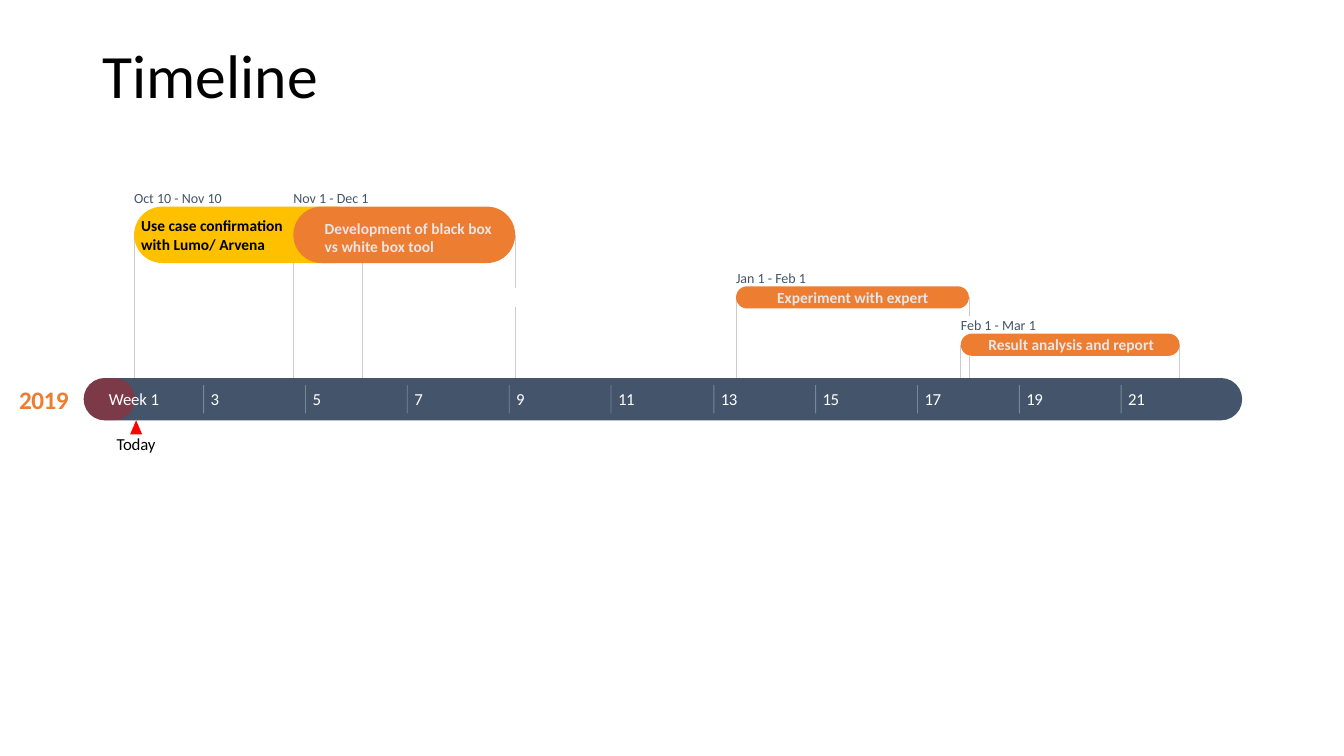
from lxml.etree import SubElement
from pptx import Presentation
from pptx.dml.color import RGBColor
from pptx.enum.shapes import MSO_CONNECTOR, MSO_SHAPE
from pptx.enum.text import MSO_ANCHOR, PP_ALIGN
from pptx.oxml.ns import qn
from pptx.util import Pt

PX = 9144
COLORS = {
    "navy": "44546A",
    "orange": "ED7D31",
    "yellow": "FFC000",
    "red": "FF0000",
    "guide": "CCCCCC",
    "pale": "E7E6E6",
    "white": "FFFFFF",
    "black": "000000",
}
LEFT, CENTER, RIGHT = PP_ALIGN.LEFT, PP_ALIGN.CENTER, PP_ALIGN.RIGHT
BAND_TOP = 375
TASKS = [
    (133, 205, 228, 56, "yellow", "Oct 10 - Nov 10", 88),
    (291, 205, 220, 56, "orange", "Nov 1 - Dec 1", 75),
    (730, 284, 231, 22, "orange", "Jan 1 - Feb 1", 71),
    (953, 331, 217, 22, "orange", "Feb 1 - Mar 1", 75),
]
TASK_NAMES = [
    ("Use case confirmation with Lumo/ Arvena", (140, 205, 165, 56), "black", LEFT),
    ("Development of black box vs white box tool", (322, 217, 180, 37), "pale", LEFT),
    ("Experiment with expert", (719, 285, 202, 19), "pale", RIGHT),
    ("Result analysis and report", (980, 332, 165, 19), "pale", CENTER),
]
GUIDES = [
    (359, 261, BAND_TOP),
    (291, 261, BAND_TOP),
    (511, 305, BAND_TOP),
    (961, 353, BAND_TOP),
]
BAR_GUIDES = [
    (0, 1, BAND_TOP),
    (1, 3, 286),
    (2, 1, BAND_TOP),
    (2, 3, 314),
    (3, 1, BAND_TOP),
    (3, 3, BAND_TOP),
]


def rgb(name):
    return RGBColor.from_string(COLORS[name])


def set_alpha(fill_owner, percent):
    color = fill_owner._element.spPr.find(f".//{qn('a:srgbClr')}")
    SubElement(color, qn("a:alpha")).set("val", str(percent * 1000))


def add_label(slide, text, box, size, color, align=LEFT, bold=False, spacing=0, wrap=False):
    label = slide.shapes.add_textbox(*(n * PX for n in box))
    frame = label.text_frame
    frame.text = text
    frame.word_wrap = wrap
    frame.vertical_anchor = MSO_ANCHOR.MIDDLE
    frame.margin_left = frame.margin_right = frame.margin_top = frame.margin_bottom = 0
    paragraph = frame.paragraphs[0]
    paragraph.alignment = align
    run = paragraph.runs[0]
    run.font.name = "Calibri"
    run.font.size = Pt(size)
    run.font.bold = bold
    run.font.color.rgb = rgb(color)
    if spacing:
        run._r.get_or_add_rPr().set("spc", str(spacing))
    return frame


def add_block(slide, preset, box, color):
    block = slide.shapes.add_shape(preset, *(n * PX for n in box))
    block.shadow.inherit = False
    block.fill.solid()
    block.fill.fore_color.rgb = rgb(color)
    block.line.fill.background()
    return block


def add_pill(slide, box, color):
    pill = add_block(slide, MSO_SHAPE.ROUNDED_RECTANGLE, box, color)
    pill.adjustments[0] = 0.5
    return pill


def add_vertical(slide, x, top, bottom, color):
    vertical = slide.shapes.add_connector(
        MSO_CONNECTOR.STRAIGHT, x * PX, top * PX, x * PX, bottom * PX)
    vertical.line.color.rgb = rgb(color)
    vertical.line.width = Pt(0.6)
    SubElement(vertical._element.spPr, qn("a:effectLst"))
    return vertical


def add_week_band(slide):
    add_pill(slide, (83, BAND_TOP, 1149, 42), "navy")
    elapsed = add_pill(slide, (83, BAND_TOP, 51, 42), "red")
    set_alpha(elapsed, 30)
    add_block(slide, MSO_SHAPE.ISOSCELES_TRIANGLE, (129, 417, 12, 14), "red")
    add_label(slide, "Today", (115, 430, 40, 20), 12, "black", CENTER, spacing=-10)
    add_label(slide, "Week 1", (108, 386, 51, 20), 12, "white", spacing=-10)
    for index, week in enumerate(range(3, 22, 2)):
        x = 202 + round(index * 101.1)
        width = 10 * len(str(week))
        add_label(slide, str(week), (x + 7, 386, width, 20), 12, "white", spacing=-30)
        tick = add_vertical(slide, x, 382, 410, "white")
        set_alpha(tick, 30)


def add_bar_guide(slide, task, side, bottom):
    left, top, width, height = TASKS[task][:4]
    x = left if side == 1 else left + width
    return add_vertical(slide, x, top + height // 2, bottom, "guide")


def add_title(slide):
    frame = add_label(slide, "Timeline", (92, 40, 1150, 145), 44, "black", wrap=True)
    frame.vertical_anchor = MSO_ANCHOR.TOP
    frame.margin_left = frame.margin_right = 10 * PX
    frame.margin_top = frame.margin_bottom = 5 * PX
    frame.paragraphs[0].line_spacing = 0.9


def main():
    presentation = Presentation()
    presentation.slide_width = 1333 * PX
    presentation.slide_height = 750 * PX
    slide = presentation.slides.add_slide(presentation.slide_layouts[6])

    add_label(slide, "2019", (19, 381, 49, 31), 18, "orange", CENTER, True, -40)
    for x, top, bottom in GUIDES:
        add_vertical(slide, x, top, bottom, "guide")
    bar_guides = [add_bar_guide(slide, *guide) for guide in BAR_GUIDES]
    add_week_band(slide)

    bars = [add_pill(slide, task[:4], task[4]) for task in TASKS]
    for guide, (task, side, _) in zip(bar_guides, BAR_GUIDES):
        guide.begin_connect(bars[task], side)

    for left, top, _, _, _, dates, dates_width in TASKS:
        add_label(slide, dates, (left, top - 17, dates_width, 17), 10, "navy")
    for name, box, color, align in TASK_NAMES:
        add_label(slide, name, box, 11, color, align, True, wrap=True)
    add_title(slide)
    presentation.save("out.pptx")


if __name__ == "__main__":
    main()
